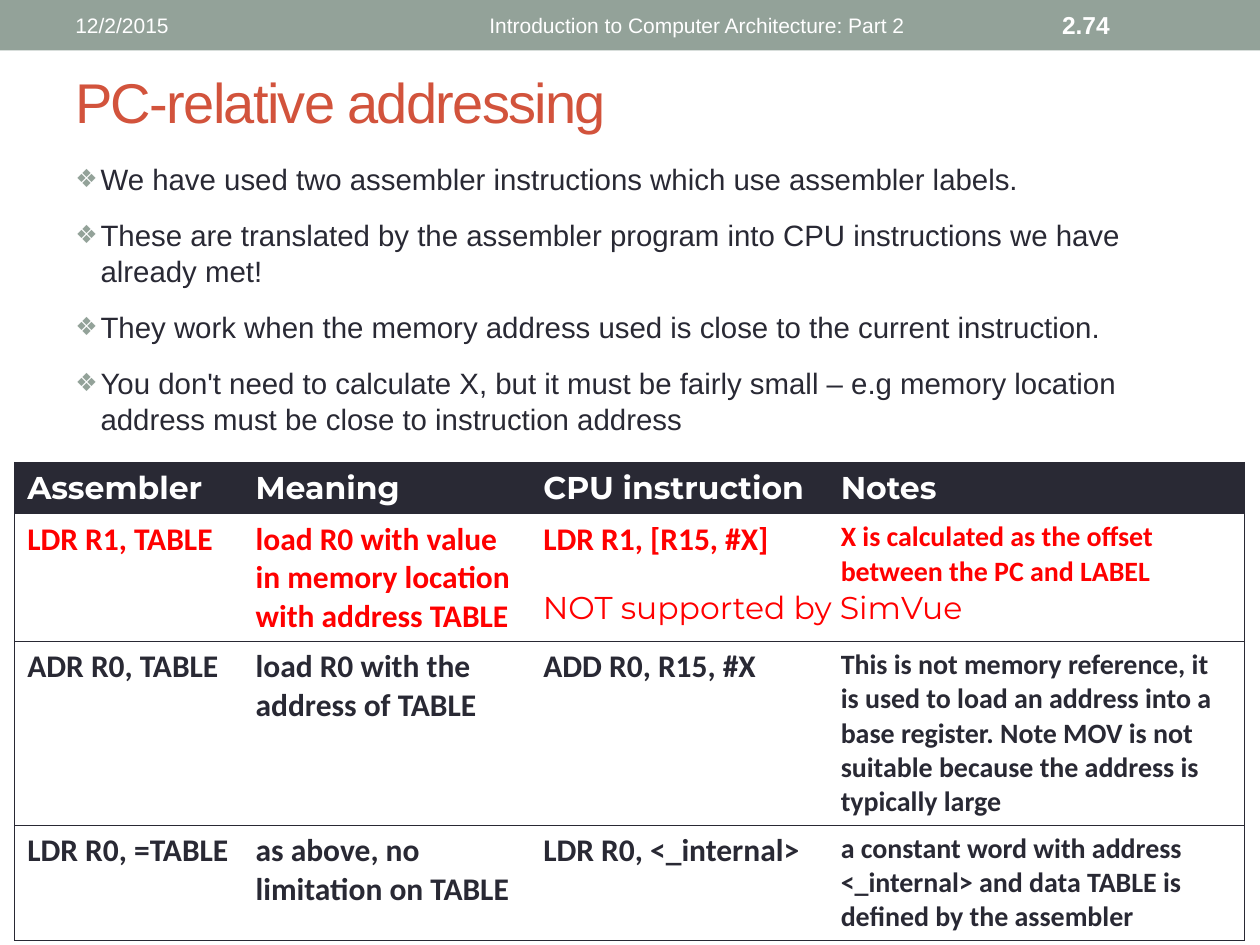
from dataclasses import dataclass
from lxml import etree
from pptx import Presentation
from pptx.dml.color import RGBColor
from pptx.enum.shapes import MSO_SHAPE
from pptx.enum.text import MSO_ANCHOR, PP_ALIGN
from pptx.oxml.ns import qn
from pptx.util import Pt

LEFT, RIGHT = PP_ALIGN.LEFT, PP_ALIGN.RIGHT
TOP, MID = MSO_ANCHOR.TOP, MSO_ANCHOR.MIDDLE
RECT = MSO_SHAPE.RECTANGLE
HUE = {"bar": "93A299", "title": "D2533C", "ink": "292934",
       "red": "FF0000", "white": "FFFFFF"}


@dataclass
class Style:
    size: float
    face: str
    hue: str
    bold: bool = False


@dataclass
class Label:
    text: str
    box: tuple[float, float, float, float]
    style: Style
    align: PP_ALIGN = LEFT
    anchor: MSO_ANCHOR = MID
    wrap: bool = True


def color(name: str) -> RGBColor:
    return RGBColor.from_string(HUE[name])


def format_par(par, style: Style, align: PP_ALIGN = LEFT) -> None:
    par.alignment = align
    font = par.font
    font.size, font.name, font.bold = Pt(style.size), style.face, style.bold
    font.color.rgb = color(style.hue)


def add_label(slide, item: Label):
    box = slide.shapes.add_textbox(*map(Pt, item.box))
    frame = box.text_frame
    frame.word_wrap, frame.vertical_anchor = item.wrap, item.anchor
    frame.text = item.text
    for par in frame.paragraphs:
        format_par(par, item.style, item.align)
    return box


def add_bullet(par) -> None:
    par.space_before = Pt(12)
    props = par._p.get_or_add_pPr()
    props.set("marL", str(Pt(14.4)))
    props.set("indent", str(-Pt(14.4)))
    tint = etree.SubElement(props, qn("a:buClr"))
    etree.SubElement(tint, qn("a:srgbClr"), val=HUE["bar"])
    etree.SubElement(props, qn("a:buSzPct"), val="85000")
    etree.SubElement(props, qn("a:buFont"), typeface="Arial")
    etree.SubElement(props, qn("a:buChar"), char="❖")


def add_edges(cell, shown: set[str]) -> None:
    props = cell._tc.get_or_add_tcPr()
    for side in "LRTB":
        line = etree.SubElement(props, qn(f"a:ln{side}"), w=str(Pt(0.75)))
        if side in shown:
            fill = etree.SubElement(line, qn("a:solidFill"))
            etree.SubElement(fill, qn("a:srgbClr"), val=HUE["ink"])
        else:
            etree.SubElement(line, qn("a:noFill"))


def add_grid(slide, rows, left: float, top: float, wide, high) -> None:
    frame = slide.shapes.add_table(len(rows), len(wide), Pt(left), Pt(top),
                                   Pt(sum(wide)), Pt(sum(high)))
    grid = frame.table
    grid.first_row = grid.horz_banding = False
    for col, width in zip(grid.columns, wide):
        col.width = Pt(width)
    last = len(wide) - 1
    for i, (row, height) in enumerate(zip(rows, high)):
        grid.rows[i].height = Pt(height)
        for j, text in enumerate(row):
            cell = grid.cell(i, j)
            cell.text = text
            if i == 0:
                style = HEAD
            else:
                style = Style(16 if j == last else 18, "Calibri",
                              "red" if i == 1 else "ink", True)
            format_par(cell.text_frame.paragraphs[0], style)
            add_edges(cell, {"T", "B"} | ({"L"} if j == 0 else set())
                      | ({"R"} if j == last else set()))
            if i == 0:
                cell.fill.solid()
                cell.fill.fore_color.rgb = color("ink")
            else:
                cell.fill.background()


SMALL = Style(12, "Arial", "white")
HEAD = Style(18, "Montserrat", "white", True)
LABELS = [
    Label("PC-relative addressing", (36, 31.7, 648, 52.6),
          Style(32, "Arial", "title")),
    Label("12/2/2015", (36, 1.4, 148.3, 26), SMALL),
    Label("Introduction to Computer Architecture: Part 2",
          (200.2, 1.4, 324, 26), SMALL, RIGHT),
    Label("2.74", (599.8, 1.4, 84.2, 26), Style(14, "Arial", "white", True)),
]
POINTS = [
    "We have used two assembler instructions which use assembler labels.",
    "These are translated by the assembler program into CPU instructions "
    "we have already met!",
    "They work when the memory address used is close to the current "
    "instruction.",
    "You don't need to calculate X, but it must be fairly small – e.g memory "
    "location address must be close to instruction address",
]
ROWS = [
    ("Assembler", "Meaning", "CPU instruction", "Notes"),
    ("LDR R1, TABLE",
     "load R0 with value in memory location with address TABLE",
     "LDR R1, [R15, #X]",
     "X is calculated as the offset between the PC and LABEL"),
    ("ADR R0, TABLE", "load R0 with the address of TABLE", "ADD R0, R15, #X",
     "This is not memory reference, it is used to load an address into a base "
     "register. Note MOV is not suitable because the address is typically "
     "large"),
    ("LDR R0, =TABLE", "as above, no limitation on TABLE",
     "LDR R0, <_internal>",
     "a constant word with address <_internal> and data TABLE is defined by "
     "the assembler"),
]

deck = Presentation()
deck.slide_width, deck.slide_height = Pt(720), Pt(540)
slide = deck.slides.add_slide(deck.slide_layouts[6])

# Top bar
bar = slide.shapes.add_shape(RECT, 0, 0, Pt(720), Pt(28.8))
bar.shadow.inherit = False
bar.fill.solid()
bar.fill.fore_color.rgb = color("bar")
bar.line.fill.background()

# Title and header line
title, *_ = [add_label(slide, item) for item in LABELS]
run = title.text_frame.paragraphs[0].runs[0]
run._r.get_or_add_rPr().set("spc", "-100")

# Bullet list
body = add_label(slide, Label("\n".join(POINTS), (36, 88.6, 648, 170),
                              Style(16.8, "Arial", "ink"), anchor=TOP))
for par in body.text_frame.paragraphs:
    add_bullet(par)

# Instruction table and its remark
add_grid(slide, ROWS, 8.4, 264.2, (130.5, 164.4, 170, 238.1),
         (29.5, 73, 105, 66))
add_label(slide, Label("NOT supported by SimVue", (303.1, 332.6, 272.2, 28.8),
                       Style(18, "Montserrat", "red"), anchor=TOP, wrap=False))

deck.save("out.pptx")
